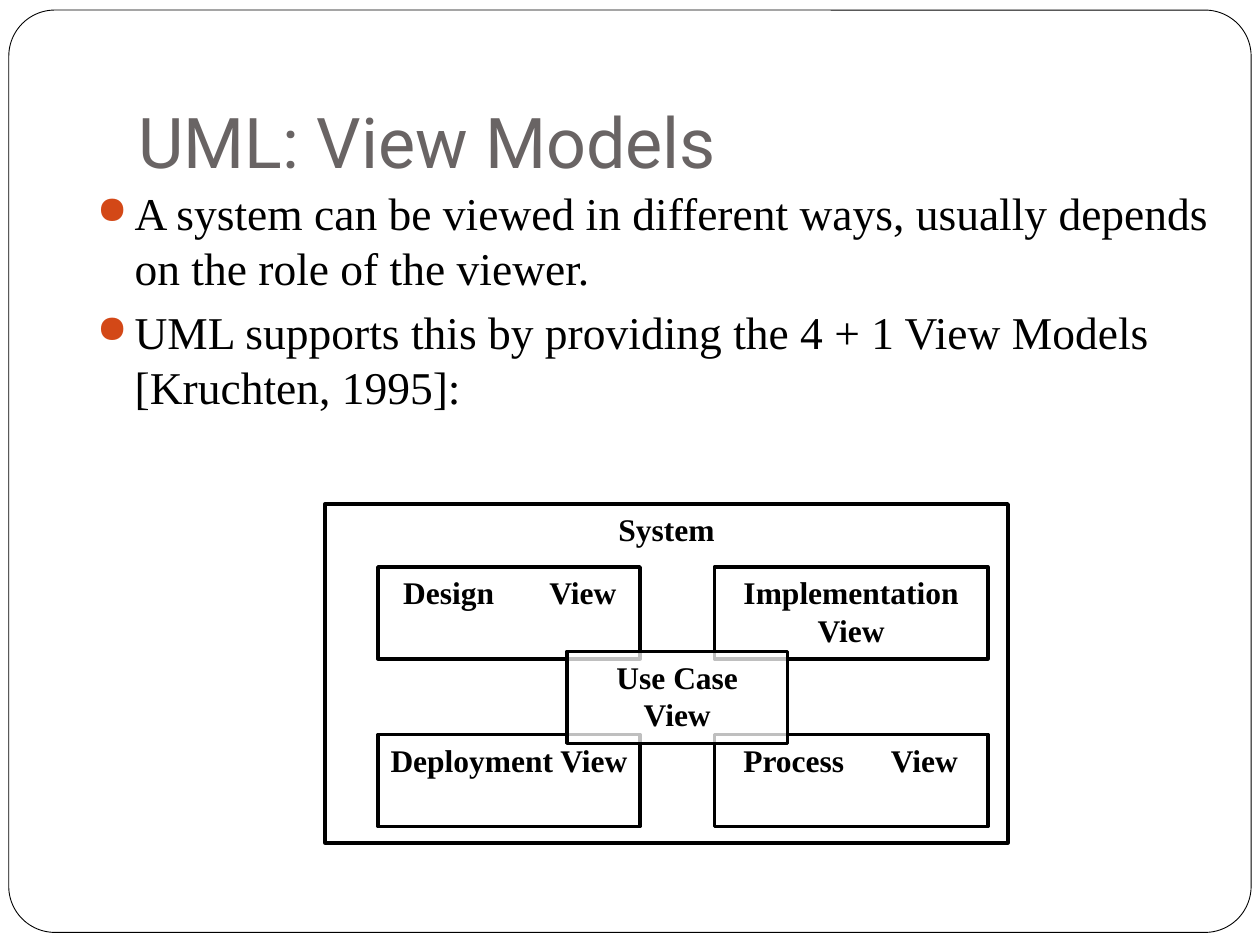
from lxml import etree
from pptx import Presentation
from pptx.dml.color import RGBColor
from pptx.enum.shapes import MSO_SHAPE
from pptx.enum.text import MSO_ANCHOR, MSO_AUTO_SIZE, PP_ALIGN
from pptx.oxml.ns import qn
from pptx.util import Inches, Pt

RECTANGLE = MSO_SHAPE.RECTANGLE
ROUNDED = MSO_SHAPE.ROUNDED_RECTANGLE
LEFT, CENTER = PP_ALIGN.LEFT, PP_ALIGN.CENTER
TOP, BOTTOM = MSO_ANCHOR.TOP, MSO_ANCHOR.BOTTOM

HEADING = "UML: View Models"
POINTS = [
    "A system can be viewed in different ways, usually depends on the role of the viewer.",
    "UML supports this by providing the 4 + 1 View Models [Kruchten, 1995]:",
]
SYSTEM = ("System", (2.58, 4, 5.42, 2.69))
USE_CASE = ("Use Case View", (4.5, 5.17, 1.75, 0.73))
VIEWS = [
    ["Design\tView", "Implementation View"],
    ["Deployment View", "Process\tView"],
]
COLUMNS = [(3, 2.08), (5.67, 2.17)]
ROWS = [4.5, 5.83]
VIEW_HEIGHT = 0.73
TABBED = {"Design\tView": (0.2, 1.16), "Process\tView": (0.23, 1.17)}

HEADING_FONT = {"name": "Roboto", "size": Pt(40), "bold": False}
POINT_FONT = {"name": "Times New Roman", "size": Pt(26)}
LABEL_FONT = {"name": "Times New Roman", "size": Pt(18), "bold": True}


def color(hex_value):
    return RGBColor.from_string(hex_value)


def format_font(font, values, hex_value="000000"):
    for key, value in values.items():
        setattr(font, key, value)
    font.color.rgb = color(hex_value)


def add_outline(slide, kind, place, weight, fill=None):
    outline = slide.shapes.add_shape(kind, *map(Inches, place))
    outline.shadow.inherit = False
    outline.line.color.rgb = color("000000")
    outline.line.width = Pt(weight)
    if fill:
        outline.fill.solid()
        outline.fill.fore_color.rgb = color(fill)
    else:
        outline.fill.background()
    return outline


def add_view(slide, label, place, fill=None):
    view = add_outline(slide, RECTANGLE, place, 2, fill)
    frame = view.text_frame
    frame.word_wrap = True
    frame.vertical_anchor = TOP
    paragraph = frame.paragraphs[0]
    paragraph.text = label
    paragraph.alignment = CENTER
    if label in TABBED:
        margin, stop = TABBED[label]
        frame.margin_left = Inches(margin)
        paragraph.alignment = LEFT
        tabs = etree.SubElement(paragraph._p.get_or_add_pPr(), qn("a:tabLst"))
        etree.SubElement(tabs, qn("a:tab"), pos=str(Inches(stop)), algn="l")
    format_font(paragraph.font, LABEL_FONT)
    return view


def add_points(slide):
    box = slide.shapes.add_textbox(*map(Inches, (0.67, 1.42, 9.08, 2.67)))
    frame = box.text_frame
    frame.word_wrap = True
    for index, point in enumerate(POINTS):
        paragraph = frame.add_paragraph() if index else frame.paragraphs[0]
        paragraph.text = point
        if index:
            paragraph.space_before = Pt(5.8)
        properties = paragraph._p.get_or_add_pPr()
        properties.set("marL", str(Inches(0.3)))
        properties.set("indent", str(Inches(-0.3)))
        bullet_color = etree.SubElement(properties, qn("a:buClr"))
        etree.SubElement(bullet_color, qn("a:srgbClr"), val="D34817")
        etree.SubElement(properties, qn("a:buSzPct"), val="85000")
        etree.SubElement(properties, qn("a:buChar"), char="●")
        format_font(paragraph.font, POINT_FONT)


def add_heading(slide):
    title = slide.shapes.title
    title.left, title.top, title.width, title.height = map(Inches, (1, 0.3, 8.5, 1.25))
    frame = title.text_frame
    frame.text = HEADING
    frame.auto_size = MSO_AUTO_SIZE.NONE
    frame.vertical_anchor = BOTTOM
    frame.margin_bottom = Inches(0.1)
    frame.paragraphs[0].alignment = LEFT
    format_font(frame.paragraphs[0].font, HEADING_FONT, "696464")


def main():
    deck = Presentation()
    deck.slide_width, deck.slide_height = Inches(10), Inches(7.5)
    slide = deck.slides.add_slide(deck.slide_layouts[5])

    border = add_outline(slide, ROUNDED, (0.07, 0.08, 9.86, 7.32), 0.5, "FFFFFF")
    border.adjustments[0] = 0.05
    slide.shapes.title._element.addprevious(border._element)

    add_heading(slide)
    add_points(slide)
    add_view(slide, *SYSTEM)
    for top, labels in zip(ROWS, VIEWS):
        for (left, width), label in zip(COLUMNS, labels):
            add_view(slide, label, (left, top, width, VIEW_HEIGHT))

    use_case = add_view(slide, *USE_CASE, fill="FFFFFF")
    fill_color = use_case._element.spPr.find(qn("a:solidFill"))[0]
    etree.SubElement(fill_color, qn("a:alpha"), val="75000")

    deck.save("out.pptx")


if __name__ == "__main__":
    main()
